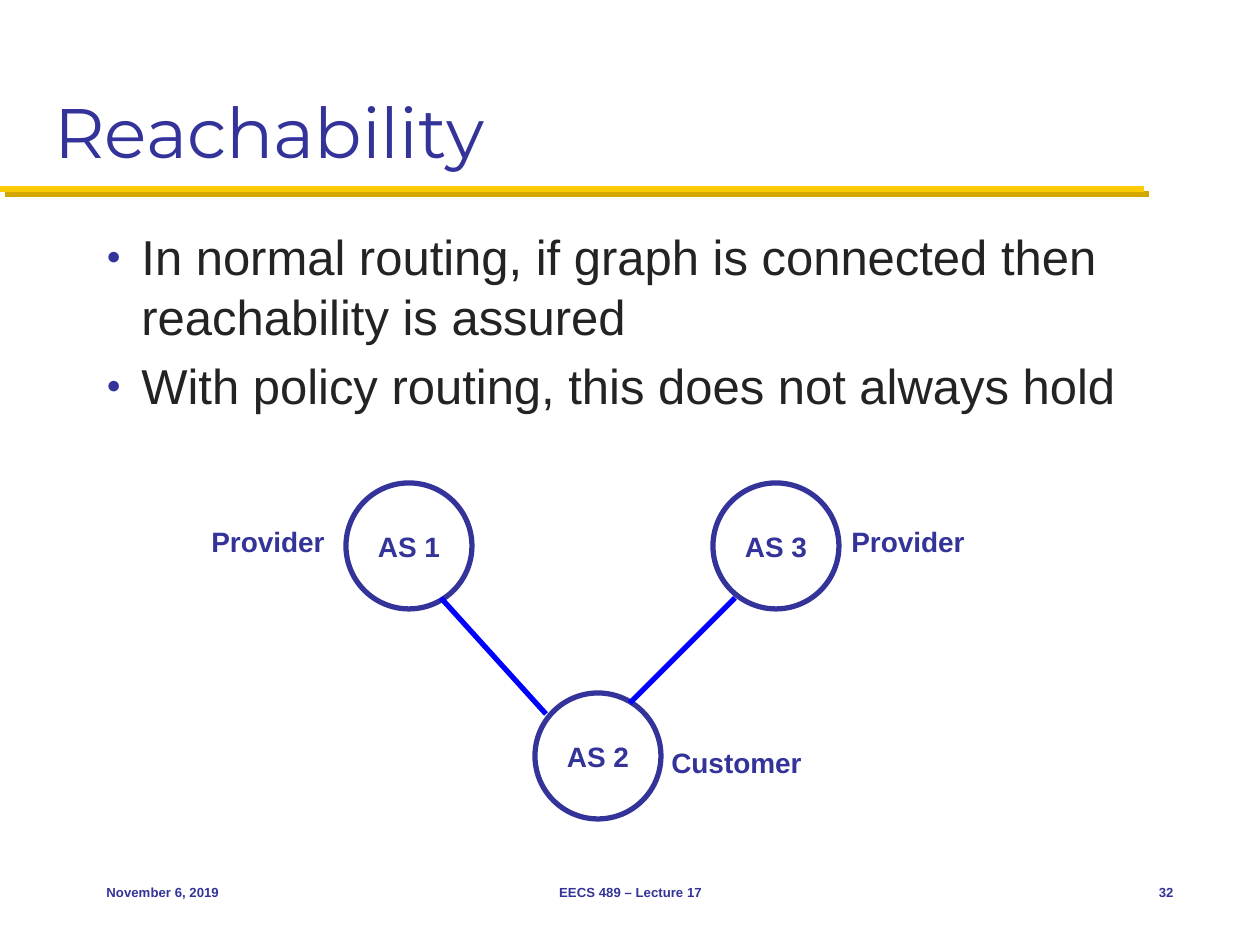
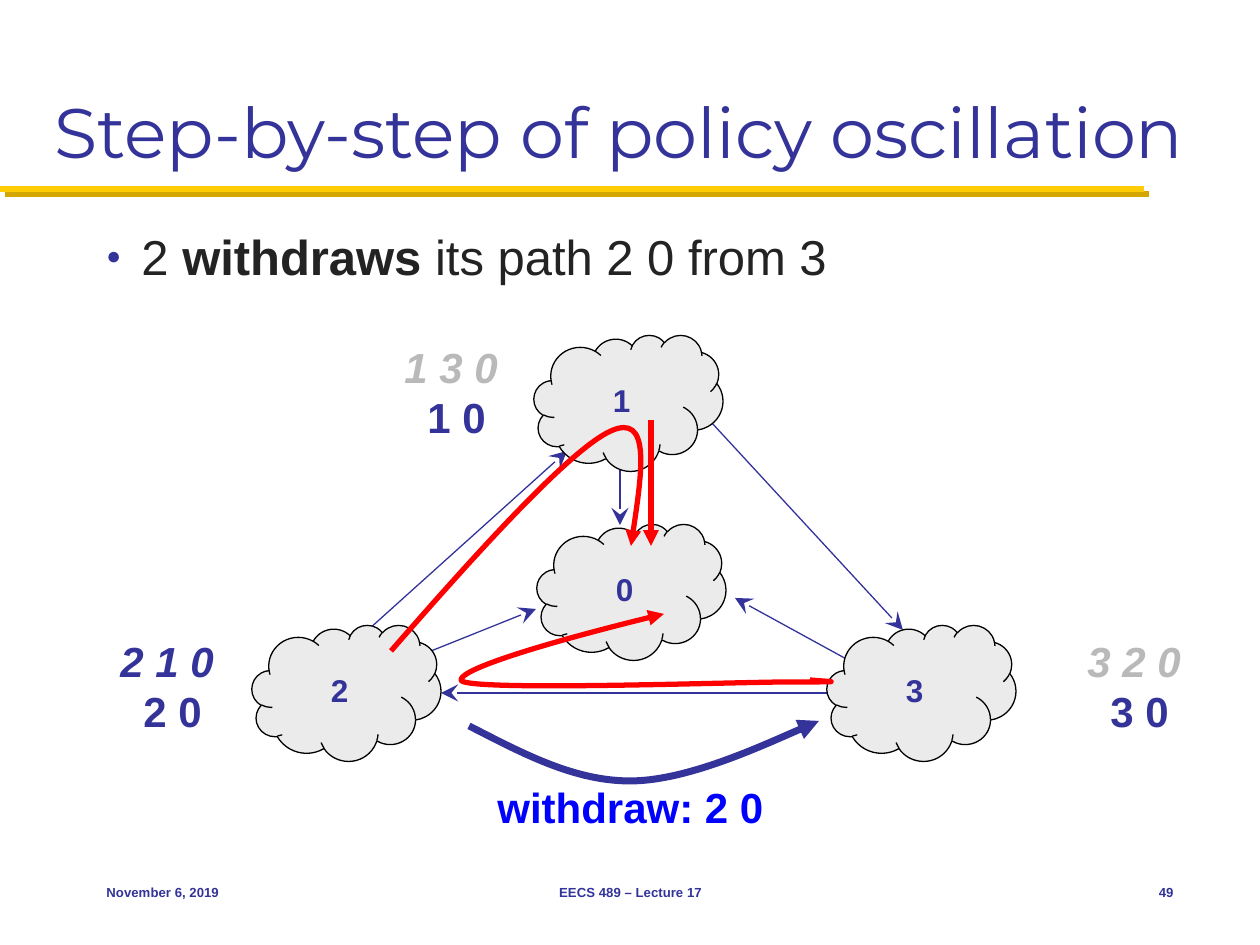
"""Builds two slides on policy routing: reachability and oscillation."""
import pptx
import pptx.util
import pptx.dml.color
import pptx.enum.shapes
import pptx.enum.text
import pptx.oxml
import pptx.oxml.ns
import lxml.etree

PX = 914400 // 126
NAVY, BLUE, RED, GRAY = "333399", "0000FF", "FF0000", "B9B9B9"
Pt = pptx.util.Pt
qn = pptx.oxml.ns.qn
hue = pptx.dml.color.RGBColor.from_string
KIND = pptx.enum.shapes.MSO_SHAPE
LINK = pptx.enum.shapes.MSO_CONNECTOR.STRAIGHT
SIDE = pptx.enum.text.PP_ALIGN
MID = pptx.enum.text.MSO_ANCHOR.MIDDLE
LOW = pptx.enum.text.MSO_ANCHOR.BOTTOM
TOP = pptx.enum.text.MSO_ANCHOR.TOP


def write(shape, paras, size, color=NAVY, anchor=MID, wrap=True,
          font={}, form={}):
    """Write paragraphs, each a list of (words, font values) runs."""
    frame = shape.text_frame
    frame.word_wrap = wrap
    frame.vertical_anchor = anchor
    for num, runs in enumerate(paras):
        para = frame.add_paragraph() if num else frame.paragraphs[0]
        for key, val in form.items():
            setattr(para, key, val)
        for words, extra in runs:
            run = para.add_run()
            run.text = words
            look = {"name": "Arial", "size": Pt(size), "bold": True,
                    **font, **extra}
            tint = look.pop("color", color)
            run.font.color.rgb = hue(tint)
            for key, val in look.items():
                setattr(run.font, key, val)
    return frame


def stroke(shape, color, width, tip=None, span="med"):
    """Set line colour, width and arrowhead, without a shadow."""
    shape.line.color.rgb = hue(color)
    shape.line.width = Pt(width)
    if tip:
        lxml.etree.SubElement(shape.line._get_or_add_ln(), qn("a:tailEnd"),
                              type=tip, w=span, len=span)
    return lxml.etree.SubElement(shape._element.spPr, qn("a:effectLst"))


deck = pptx.Presentation()
deck.slide_width = pptx.util.Inches(10)
deck.slide_height = pptx.util.Inches(7.5)

topics = [
    ("Reachability", "32", 238, [
        [("In normal routing, if graph is connected then "
          "reachability is assured", {})],
        [("With policy routing, this does not always hold", {})]]),
    ("Step-by-step of policy oscillation", "49", 609, [
        [("2 ", {}), ("withdraws", {"bold": True}),
         (" its path 2 0 from 3", {})]]),
]
pages = []
for title, page, tall, points in topics:
    slide = deck.slides.add_slide(deck.slide_layouts[6])
    pages.append(slide.shapes)

    rule = slide.shapes.add_connector(LINK, 0, 189 * PX, 1144 * PX, 189 * PX)
    glow = lxml.etree.SubElement(
        stroke(rule, "FFCB05", 3.5), qn("a:outerShdw"), blurRad="0",
        dist="53340", dir="2700000", algn="ctr", rotWithShape="0")
    lxml.etree.SubElement(glow, qn("a:srgbClr"), val="D3A600")

    head = slide.shapes.add_textbox(42 * PX, 21 * PX, 1176 * PX, 158 * PX)
    write(head, [[(title, {})]], 40, anchor=LOW,
          font={"name": "Montserrat", "bold": False})

    body = slide.shapes.add_textbox(94 * PX, 220 * PX, 1092 * PX, tall * PX)
    frame = write(body, points, 28, "232323", TOP, font={"bold": False},
                  form={"line_spacing": Pt(34)})
    for num, para in enumerate(frame.paragraphs):
        if num:
            para.space_before = Pt(5.6)
        props = para._p.get_or_add_pPr()
        props.set("marL", str(35 * PX))
        props.set("indent", str(-35 * PX))
        tint = lxml.etree.SubElement(props, qn("a:buClr"))
        lxml.etree.SubElement(tint, qn("a:srgbClr"), val=NAVY)
        for tag, key, val in [("a:buSzPct", "val", "50000"),
                              ("a:buFont", "typeface", "Arial"),
                              ("a:buChar", "char", "●")]:
            lxml.etree.SubElement(props, qn(tag)).set(key, val)

    for left, wide, words, side in [
            (94, 262, "November 6, 2019", SIDE.LEFT),
            (431, 399, "EECS 489 – Lecture 17", SIDE.CENTER),
            (1102, 84, page, SIDE.RIGHT)]:
        foot = slide.shapes.add_textbox(left * PX, 861 * PX,
                                        wide * PX, 63 * PX)
        write(foot, [[(words, {})]], 7.5, form={"alignment": side})

reach, swing = pages

for words, left, top in [("AS 2", 535, 693), ("AS 3", 713, 483),
                         ("AS 1", 346, 483)]:
    node = reach.add_shape(KIND.OVAL, left * PX, top * PX,
                           126 * PX, 126 * PX)
    node.fill.background()
    stroke(node, NAVY, 3)
    write(node, [[(words, {})]], 16, wrap=False,
          form={"alignment": SIDE.CENTER})

for ends in [(630, 703, 735, 598), (546, 714, 441, 598)]:
    edge = reach.add_connector(LINK, *[val * PX for val in ends])
    stroke(edge, BLUE, 3)

for words, left, top, wide in [("Provider", 199, 514, 168),
                               ("Provider", 839, 514, 168),
                               ("Customer", 659, 735, 192)]:
    role = reach.add_textbox(left * PX, top * PX, wide * PX, 55 * PX)
    write(role, [[(words, {})]], 16)

for ends in [(620, 451, 620, 525), (368, 630, 567, 451),
             (829, 693, 441, 693), (711, 422, 903, 630),
             (431, 651, 536, 609), (850, 661, 735, 598)]:
    edge = swing.add_connector(LINK, *[val * PX for val in ends])
    stroke(edge, NAVY, 0.75, "stealth", "lg")

for words, left, top in [("1", 534, 335), ("2", 252, 625),
                         ("3", 827, 625), ("0", 537, 524)]:
    cloud = swing.add_shape(KIND.CLOUD, left * PX, top * PX,
                            189 * PX, 136 * PX)
    cloud.fill.solid()
    cloud.fill.fore_color.rgb = hue("EBEBEB")
    stroke(cloud, "000000", 0.75)
    write(cloud, [[(words, {})]], 18, form={"alignment": SIDE.CENTER})

for left, top, first, tint, last in [(392, 336, "1 3 0", GRAY, "1 0"),
                                     (1075, 630, "3 2 0", GRAY, "3 0"),
                                     (108, 630, "2 1 0", NAVY, "2 0")]:
    ranks = swing.add_textbox(left * PX, top * PX, 120 * PX, 115 * PX)
    frame = write(ranks, [[(first, {"italic": True, "color": tint})],
                          [(last, {})]],
                  24, anchor=TOP, form={"line_spacing": Pt(28.6)})
    frame.paragraphs[1]._p.get_or_add_pPr().set("marL", str(23 * PX))

direct = swing.add_connector(LINK, 651 * PX, 420 * PX, 651 * PX, 546 * PX)
stroke(direct, RED, 3, "triangle")

note = swing.add_textbox(485 * PX, 776 * PX, 295 * PX, 64 * PX)
write(note, [[("withdraw: 2 0", {})]], 24, BLUE, TOP,
      form={"line_spacing": Pt(28.6)})

routes = [
    (RED, 3, [(810, 680), (830, 682), (852, 682), (794, 682), (736, 682),
              (461, 692), (461, 680), (461, 669), (552, 641), (664, 614)]),
    (RED, 3, [(391, 651), (480, 549), (571, 449), (611, 431),
              (651, 413), (641, 480), (631, 546)]),
    (NAVY, 4, [(469, 726), (522, 753), (575, 782), (633, 781),
               (690, 780), (819, 721), (819, 721)]),
]
for tint, width, dots in routes:
    pen = swing.build_freeform(*dots[0], scale=PX)
    pen.add_line_segments(dots[1:], close=False)
    route = pen.convert_to_shape()
    route.fill.background()
    stroke(route, tint, width, "triangle")
    trace = route._element.find(".//" + qn("a:path"))
    legs = trace.findall(qn("a:lnTo"))
    for num in range(0, len(legs), 3):
        curve = lxml.etree.SubElement(trace, qn("a:cubicBezTo"))
        for leg in legs[num:num + 3]:
            curve.append(leg[0])
            trace.remove(leg)

deck.save("out.pptx")
